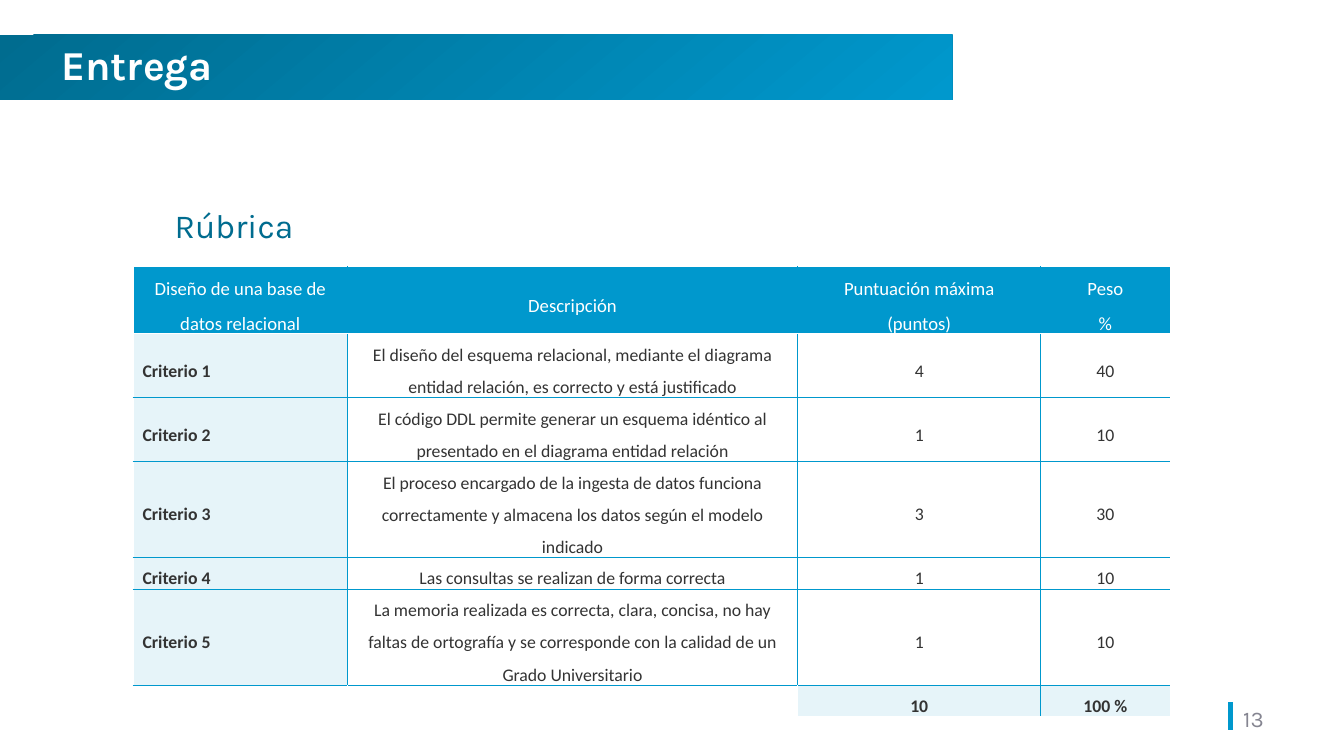
"""Build the "Entrega" slide with its grading rubric table."""
from dataclasses import dataclass

from lxml import etree
from pptx import Presentation
from pptx.dml.color import RGBColor
from pptx.enum.shapes import MSO_CONNECTOR
from pptx.enum.text import MSO_ANCHOR, MSO_AUTO_SIZE, PP_ALIGN
from pptx.oxml.ns import qn
from pptx.slide import Slide
from pptx.table import Table, _Cell
from pptx.util import Cm, Pt

LEFT, CENTER = PP_ALIGN.LEFT, PP_ALIGN.CENTER
MIDDLE = MSO_ANCHOR.MIDDLE
GROW = MSO_AUTO_SIZE.SHAPE_TO_FIT_TEXT
STRAIGHT = MSO_CONNECTOR.STRAIGHT

BLUE = RGBColor(0x00, 0x98, 0xCD)
DARK_BLUE = RGBColor(0x00, 0x6C, 0x8F)
PALE_BLUE = RGBColor(0xE6, 0xF4, 0xF9)
GRAY = RGBColor(0x85, 0x85, 0x91)
INK = RGBColor(0x33, 0x33, 0x33)
WHITE = RGBColor(0xFF, 0xFF, 0xFF)

HEADINGS = ("Diseño de una base de datos relacional", "Descripción",
            "Puntuación máxima\n(puntos)", "Peso\n%")
TOTALS = ("", "", "10", "100 %")
COLUMN_WIDTHS = (8.1, 17.02, 9.19, 4.88)
ROW_HEIGHTS = (2.49, 2.34, 2.34, 3.56, 1.09, 3.56, 1.09)


@dataclass(frozen=True)
class Criterion:
    """One graded row of the rubric."""
    description: str
    points: int


@dataclass(frozen=True)
class Label:
    """A free line of text, placed in centimetres."""
    text: str
    left: float
    top: float
    width: float
    height: float
    size: int
    color: RGBColor


CRITERIA = (
    Criterion("El diseño del esquema relacional, mediante el diagrama entidad "
              "relación, es correcto y está justificado", 4),
    Criterion("El código DDL permite generar un esquema idéntico al presentado "
              "en el diagrama entidad relación", 1),
    Criterion("El proceso encargado de la ingesta de datos funciona "
              "correctamente y almacena los datos según el modelo indicado", 3),
    Criterion("Las consultas se realizan de forma correcta", 1),
    Criterion("La memoria realizada es correcta, clara, concisa, no hay faltas "
              "de ortografía y se corresponde con la calidad de un Grado "
              "Universitario", 1),
)
LABELS = (
    Label("Rúbrica", 6.35, 7.62, 41.91, 1.8, 36, DARK_BLUE),
    Label("13", 46.74, 26.54, 7.54, 1.27, 24, GRAY),
)


def add_title(page: Slide, text: str) -> None:
    """Turn the title placeholder into the gradient banner."""
    title = page.shapes.title
    title.left, title.top, title.width, title.height = Cm(0), Cm(1.4), Cm(35.99), Cm(2.29)
    title.fill.gradient()
    title.fill.gradient_angle = 310
    for stop, color in zip(title.fill.gradient_stops, (DARK_BLUE, BLUE)):
        stop.color.rgb = color
    frame = title.text_frame
    frame.text = text
    frame.auto_size = GROW
    frame.vertical_anchor = MIDDLE
    frame.margin_left = frame.margin_right = Cm(2.31)
    frame.margin_top = frame.margin_bottom = Cm(0.3)
    para = frame.paragraphs[0]
    para.alignment = LEFT
    para.line_spacing = 0.9
    para.font.name, para.font.size, para.font.bold = "Karla", Pt(44), True
    para.font.color.rgb = WHITE


def add_label(page: Slide, label: Label) -> None:
    """Add one free line of text."""
    box = page.shapes.add_textbox(Cm(label.left), Cm(label.top),
                                  Cm(label.width), Cm(label.height))
    frame = box.text_frame
    frame.word_wrap = True
    frame.auto_size = GROW
    frame.text = label.text
    font = frame.paragraphs[0].font
    font.name, font.size, font.color.rgb = "Karla", Pt(label.size), label.color


def add_page_mark(page: Slide) -> None:
    """Draw the short bar beside the page number."""
    mark = page.shapes.add_connector(STRAIGHT, Cm(46.51), Cm(26.54), Cm(46.51), Cm(27.58))
    mark.line.color.rgb = BLUE
    mark.line.width = Pt(5)
    etree.SubElement(mark._element.spPr, qn("a:effectLst"))


def style_cell(cell: _Cell, text: str, row: int, column: int) -> None:
    """Fill one cell and format its text by its place in the table."""
    header, total = row == 0, row == len(ROW_HEIGHTS) - 1
    cell.text = text
    cell.vertical_anchor = MIDDLE
    cell.margin_left = cell.margin_right = Cm(0.36)
    cell.margin_top = cell.margin_bottom = Cm(0)
    if header or (text and (total or column == 0)):
        cell.fill.solid()
        cell.fill.fore_color.rgb = BLUE if header else PALE_BLUE
    else:
        cell.fill.background()
    for para in cell.text_frame.paragraphs:
        para.alignment = LEFT if column == 0 and not header else CENTER
        para.line_spacing = 1.5
        para.font.name, para.font.size = "Calibri", Pt(20 if header else 19)
        para.font.bold = not header and (total or column == 0)
        para.font.color.rgb = WHITE if header else INK


def set_borders(cell: _Cell, row: int, column: int) -> None:
    """Draw white outer and header edges, and blue inner edges."""
    last_row, last_column = len(ROW_HEIGHTS) - 1, len(COLUMN_WIDTHS) - 1
    total = row == last_row
    white_edges = {
        "a:lnL": column == 0 or (total and column <= 2),
        "a:lnR": column == last_column or (total and column <= 1),
        "a:lnT": row <= 1,
        "a:lnB": row == 0 or total,
    }
    properties = cell._tc.get_or_add_tcPr()
    for place, (tag, is_white) in enumerate(white_edges.items()):
        line = etree.Element(qn(tag), w=str(Pt(1)))
        fill = etree.SubElement(line, qn("a:solidFill"))
        etree.SubElement(fill, qn("a:srgbClr"), val=str(WHITE if is_white else BLUE))
        properties.insert(place, line)


def add_rubric(page: Slide) -> Table:
    """Add the rubric with its heading, criteria and total rows."""
    total_points = sum(criterion.points for criterion in CRITERIA)
    graded = [(f"Criterio {number}", criterion.description, str(criterion.points),
               str(100 * criterion.points // total_points))
              for number, criterion in enumerate(CRITERIA, 1)]
    rows = [HEADINGS, *graded, TOTALS]
    table = page.shapes.add_table(len(rows), len(COLUMN_WIDTHS), Cm(5.03), Cm(10.08),
                                  Cm(sum(COLUMN_WIDTHS)), Cm(sum(ROW_HEIGHTS))).table
    table.first_row = table.horz_banding = False
    for column, width in zip(table.columns, COLUMN_WIDTHS):
        column.width = Cm(width)
    for table_row, height in zip(table.rows, ROW_HEIGHTS):
        table_row.height = Cm(height)
    for row, texts in enumerate(rows):
        for column, text in enumerate(texts):
            cell = table.cell(row, column)
            style_cell(cell, text, row, column)
            set_borders(cell, row, column)
    return table


def main() -> None:
    """Build and save the deck."""
    deck = Presentation()
    deck.slide_width, deck.slide_height = Cm(50.8), Cm(28.58)
    page = deck.slides.add_slide(deck.slide_layouts[5])
    add_page_mark(page)
    add_title(page, "Entrega")
    for label in LABELS:
        add_label(page, label)
    add_rubric(page)
    deck.save("out.pptx")


main()
